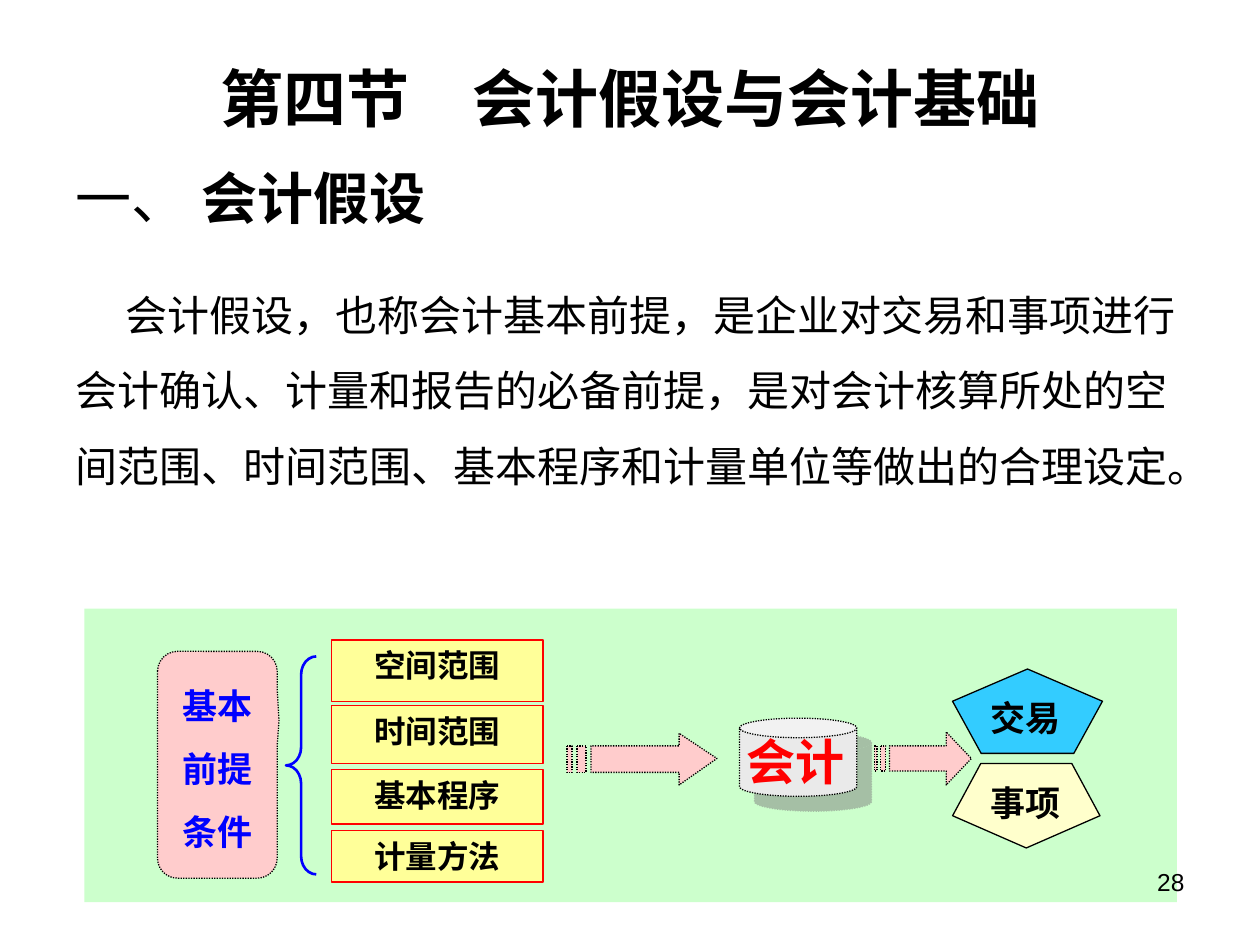
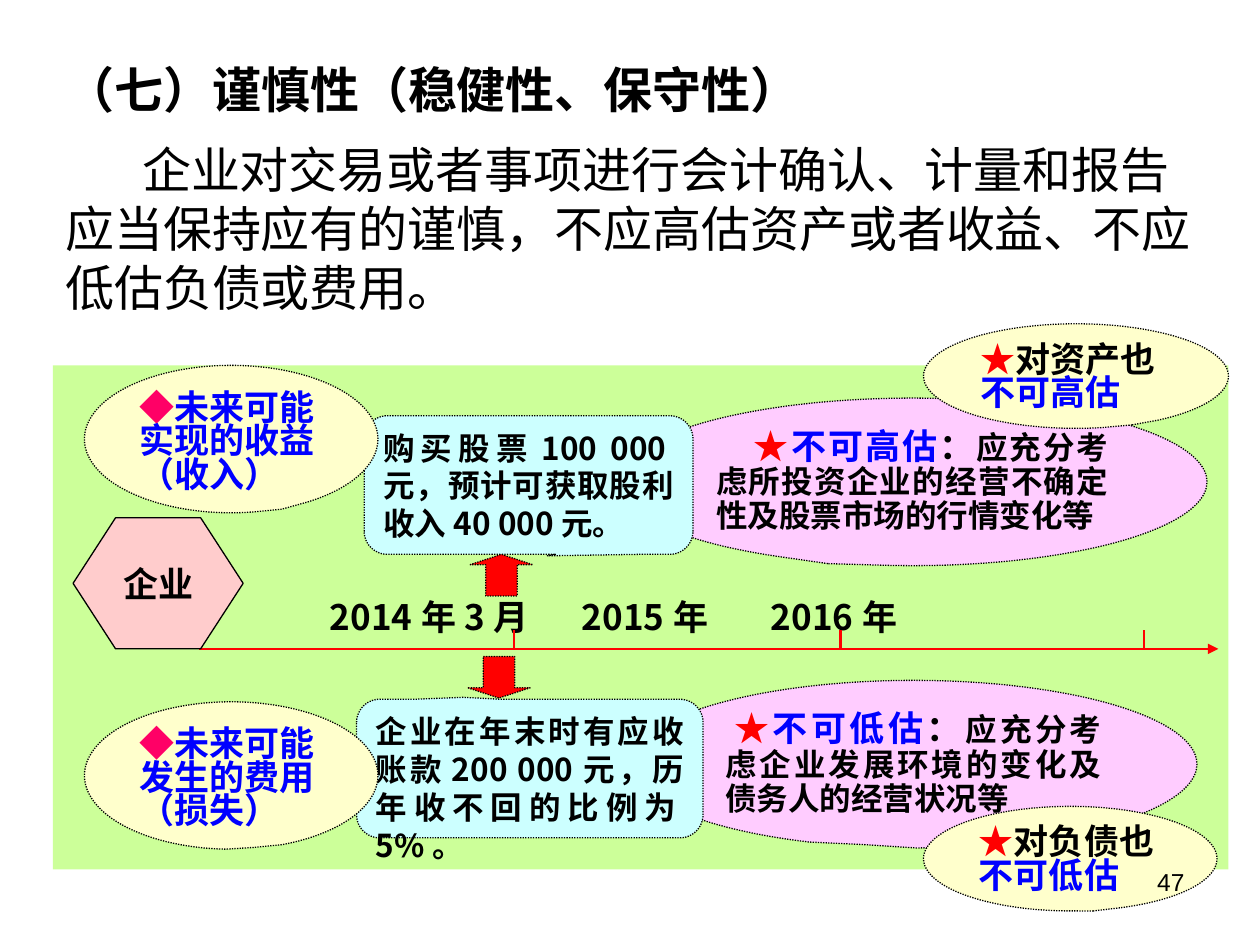
import dataclasses

import pptx
import pptx.dml.color
import pptx.enum.dml
import pptx.enum.shapes
import pptx.enum.text
import pptx.oxml
import pptx.oxml.ns
import pptx.util

SHAPE = pptx.enum.shapes.MSO_SHAPE
ALIGN = pptx.enum.text.PP_ALIGN
ANCHOR = pptx.enum.text.MSO_ANCHOR
PX = 9144


@dataclasses.dataclass(frozen=True)
class Theme:
    """Colours, fonts and type sizes of the deck."""
    black: str = "000000"
    red: str = "FF0000"
    blue: str = "0000FF"
    magenta: str = "FF0066"
    pink: str = "FFCCCC"
    lilac: str = "FFCCFF"
    cream: str = "FFFFCC"
    yellow: str = "FFFF99"
    aqua: str = "CCFFFF"
    sky: str = "33CCFF"
    grey: str = "EAEAEA"
    shadow: str = "808080"
    mint: str = "CCFFCC"
    lime: str = "CCFF99"
    sans: str = "Arial"
    serif: str = "Times New Roman"
    cjk: str = "Noto Sans CJK SC"
    title: int = 36
    section: int = 32
    heading: int = 28
    body: int = 24
    label: int = 20
    note: int = 18
    number: int = 14


THEME = Theme()


def px(*lengths):
    """Turn px lengths into EMU."""
    return [pptx.util.Emu(length * PX) for length in lengths]


def rgb(colour):
    """Return a colour object for a hex value."""
    return pptx.dml.color.RGBColor.from_string(colour)


def add_xml(parent, markup):
    """Append an element in the drawing namespace."""
    tag, _, rest = markup.partition(" ")
    namespace = pptx.oxml.ns.nsdecls("a")
    parent.append(pptx.oxml.parse_xml(f"<a:{tag} {namespace} {rest}"))


def assign(target, values):
    """Set attributes from a dict of format values."""
    for name, value in values.items():
        setattr(target, name, value)


def write_span(para, text, size, font=THEME.sans, colour=THEME.black, bold=True):
    """Add one formatted span to a paragraph."""
    span = para.add_run()
    span.text = text
    assign(span.font, {"size": pptx.util.Pt(size), "bold": bold, "name": font})
    span.font.color.rgb = rgb(colour)


def write_para(para, spans, indent=0, tabs=(), **form):
    """Format a paragraph and fill it with spans."""
    properties = para._p.get_or_add_pPr()
    properties.set("marL", "0")
    properties.set("indent", str(indent * PX))
    if tabs:
        stops = "".join(f'<a:tab pos="{stop * PX}" algn="l"/>' for stop in tabs)
        add_xml(properties, f"tabLst >{stops}</a:tabLst>")
    assign(para, {"alignment": ALIGN.LEFT, "space_before": pptx.util.Pt(0), **form})
    for text, values in spans:
        write_span(para, text, **values)


def set_frame(shape, anchor=ANCHOR.TOP):
    """Give a shape a wrapped text frame with even insets."""
    left, top = px(10, 5)
    frame = shape.text_frame
    assign(frame, {
        "word_wrap": True, "auto_size": pptx.enum.text.MSO_AUTO_SIZE.NONE,
        "vertical_anchor": anchor, "margin_left": left, "margin_right": left,
        "margin_top": top, "margin_bottom": top})
    return frame.paragraphs[0]


def add_text(page, place, spans, **form):
    """Add a text box and return it."""
    box = page.shapes.add_textbox(*px(*place))
    write_para(set_frame(box), spans, **form)
    return box


def set_title(page, place, text, anchor, size, font, align):
    """Place and format the title placeholder."""
    title = page.shapes.title
    assign(title, dict(zip(("left", "top", "width", "height"), px(*place))))
    para = set_frame(title, anchor)
    write_para(para, [(text, {"size": size, "font": font})], alignment=align)


def paint(shape, fill=None, line=None, dotted=False, width=0.75):
    """Set the fill and outline of a shape and drop its shadow."""
    shape.shadow.inherit = False
    if fill:
        shape.fill.solid()
        shape.fill.fore_color.rgb = rgb(fill)
    else:
        shape.fill.background()
    if line:
        shape.line.color.rgb = rgb(line)
        shape.line.width = pptx.util.Pt(width)
        if dotted:
            shape.line.dash_style = pptx.enum.dml.MSO_LINE.ROUND_DOT
    else:
        shape.line.fill.background()


def add_figure(page, kind, place, fill=None, line=THEME.black, dotted=False,
               width=0.75, adjust=(), turn=0):
    """Add a preset shape."""
    shape = page.shapes.add_shape(kind, *px(*place))
    for index, value in enumerate(adjust):
        shape.adjustments[index] = value
    shape.rotation = turn
    paint(shape, fill, line, dotted, width)
    return shape


def add_label(page, kind, place, spans, fill, anchor=ANCHOR.TOP, look=None, **form):
    """Add a preset shape that carries text."""
    shape = add_figure(page, kind, place, fill, **(look or {}))
    write_para(set_frame(shape, anchor), spans, **form)


def add_striped_arrow(page, tip, head, shaft, stripes, top, height, inner):
    """Draw an arrow with stripes trailing its shaft."""
    bottom, upper, lower = top + height, top + inner, top + height - inner
    outlines = [[(head, top), (head, upper), (shaft, upper), (shaft, lower),
                 (head, lower), (head, bottom), (tip, top + height // 2)]]
    outlines += [[(left, upper), (left, lower), (right, lower), (right, upper)]
                 for left, right in stripes]
    builder = page.shapes.build_freeform(*outlines[0][0], scale=PX)
    for index, points in enumerate(outlines):
        if index:
            builder.move_to(*points[0])
        builder.add_line_segments(points[1:], close=True)
    paint(builder.convert_to_shape(), THEME.pink, THEME.black, dotted=True)


def add_line(page, start, end, arrow=False):
    """Draw a red straight line, with an arrowhead if asked."""
    straight = pptx.enum.shapes.MSO_CONNECTOR.STRAIGHT
    line = page.shapes.add_connector(straight, *px(*start, *end))
    line.line.color.rgb = rgb(THEME.red)
    line.line.width = pptx.util.Pt(1.5)
    if arrow:
        add_xml(line.line._get_or_add_ln(), 'tailEnd type="triangle"/>')
    add_xml(line._element.spPr, "effectLst />")


def add_number(page, number):
    """Add the page number at the lower right."""
    add_text(page, (717, 683, 233, 52),
             [(number, {"size": THEME.number, "bold": False})], alignment=ALIGN.RIGHT)


def build_assumptions(page):
    """Build the slide on accounting assumptions."""
    set_title(page, (50, 30, 900, 95), "第四节　会计假设与会计基础", ANCHOR.MIDDLE,
              THEME.title, THEME.sans, ALIGN.CENTER)
    box = add_text(page, (50, 125, 900, 358), [
        ("一、\t", {"size": THEME.section, "bold": False}),
        ("会计假设", {"size": THEME.section})], tabs=[109])
    definition = ("会计假设，也称会计基本前提，是企业对交易和事项进行会计确认、计量和报告的必备前提，"
                  "是对会计核算所处的空间范围、时间范围、基本程序和计量单位等做出的合理设定。")
    write_para(box.text_frame.add_paragraph(),
               [(definition, {"size": THEME.body, "bold": False})],
               indent=40, line_spacing=1.5, space_before=pptx.util.Pt(19))

    add_figure(page, SHAPE.RECTANGLE, (67, 483, 867, 233), THEME.mint, line=None)
    add_label(page, SHAPE.ROUNDED_RECTANGULAR_CALLOUT, (125, 517, 95, 180),
              [("基本前提条件", {"size": THEME.label, "font": THEME.serif,
                           "colour": THEME.blue})],
              THEME.pink, look={"dotted": True, "adjust": (0.515, -0.195, 0.167)},
              alignment=ALIGN.CENTER, line_spacing=1.5)
    add_striped_arrow(page, 569, 539, 469, [(458, 465), (450, 454)], 582, 41, 10)
    conditions = [("空间范围", 508, 49), ("时间范围", 560, 46),
                  ("基本程序", 611, 43), ("计量方法", 659, 41)]
    for text, top, height in conditions:
        add_label(page, SHAPE.RECTANGLE, (263, top, 168, height),
                  [(text, {"size": THEME.note, "font": THEME.serif})],
                  THEME.yellow, look={"line": THEME.red}, alignment=ALIGN.CENTER)
    add_figure(page, SHAPE.LEFT_BRACE, (227, 521, 24, 173), line=THEME.blue,
               width=1.5, adjust=(0.6, 0.5))

    drum = add_figure(page, SHAPE.CAN, (587, 570, 93, 62), THEME.grey, dotted=True)
    effects = drum._element.spPr.find(pptx.oxml.ns.qn("a:effectLst"))
    add_xml(effects, f'outerShdw dist="{pptx.util.Pt(12)}" dir="2700000">'
            f'<a:srgbClr val="{THEME.shadow}"><a:alpha val="50000"/></a:srgbClr>'
            '</a:outerShdw>')
    add_text(page, (583, 576, 117, 69),
             [("会计", {"size": THEME.heading, "font": THEME.cjk, "colour": THEME.red})])
    subjects = [("事项", (756, 606, 117, 67), THEME.cream, 180, 615),
                ("交易", (756, 531, 119, 67), THEME.sky, 0, 548)]
    for text, place, fill, turn, top in subjects:
        add_figure(page, SHAPE.REGULAR_PENTAGON, place, fill, turn=turn)
        add_text(page, (764, top, 100, 50), [(text, {"size": THEME.label})],
                 alignment=ALIGN.CENTER)
    add_striped_arrow(page, 771, 751, 706, [(699, 703), (694, 696)], 581, 42, 11)
    add_number(page, "28")


def add_advice(page, place, adjust, indent, rule, reason):
    """Add a lilac ellipse with a starred rule and its reason."""
    mark = {"size": THEME.label, "font": THEME.serif}
    add_label(page, SHAPE.OVAL_CALLOUT, place, [
        ("★", {**mark, "colour": THEME.red}), (rule, {**mark, "colour": THEME.blue}),
        ("：", mark), (reason, {"size": THEME.note})],
        THEME.lilac, look={"dotted": True, "adjust": adjust},
        indent=indent, alignment=ALIGN.JUSTIFY, line_spacing=0.9)


def add_example(page, place, adjust, text):
    """Add an aqua callout with a worked example."""
    add_label(page, SHAPE.ROUNDED_RECTANGULAR_CALLOUT, place,
              [(text, {"size": THEME.note, "font": THEME.cjk})], THEME.aqua,
              look={"dotted": True, "adjust": adjust}, alignment=ALIGN.JUSTIFY)


def add_bubble(page, place, adjust, font, *parts):
    """Add a cream ellipse with coloured text parts."""
    spans = [(text, {"size": THEME.label, "font": font, "colour": colour})
             for text, colour in parts]
    add_label(page, SHAPE.OVAL_CALLOUT, place, spans, THEME.cream,
              look={"dotted": True, "adjust": adjust}, line_spacing=0.8)


def build_prudence(page):
    """Build the slide on prudence."""
    set_title(page, (42, 42, 915, 62), "（七）谨慎性（稳健性、保守性）", ANCHOR.TOP,
              THEME.heading, THEME.cjk, ALIGN.LEFT)
    principle = ("企业对交易或者事项进行会计确认、计量和报告应当保持应有的谨慎，"
                 "不应高估资产或者收益、不应低估负债或费用。")
    add_text(page, (42, 106, 917, 180),
             [(principle, {"size": THEME.heading, "font": THEME.cjk, "bold": False})],
             indent=61)

    add_figure(page, SHAPE.RECTANGLE, (42, 290, 933, 400), THEME.lime, line=None)
    add_text(page, (252, 468, 690, 47),
             [("2014年3月\t2015年\t2016年", {"size": THEME.label, "font": THEME.cjk})],
             tabs=[250, 432])
    for tick in (408, 667, 908):
        add_line(page, (tick, 500), (tick, 515))
    add_line(page, (158, 515), (967, 515), arrow=True)

    add_advice(page, (490, 316, 468, 133), (-0.143, 0.488), 30, "不可高估",
               "应充分考虑所投资企业的经营不确定性及股票市场的行情变化等")
    add_example(page, (289, 330, 261, 110), (0.057, 0.511, 0.167),
                "购买股票100 000元，预计可获取股利收入40 000元。")
    add_advice(page, (500, 540, 450, 133), (-0.089, 0.48), 7, "不可低估",
               "应充分考虑企业发展环境的变化及债务人的经营状况等")
    add_example(page, (283, 555, 275, 110), (-0.192, -0.514, 0.167),
                "企业在年末时有应收账款200 000元，历年收不回的比例为5%。")
    add_label(page, SHAPE.HEXAGON, (58, 411, 135, 104),
              [("企业", {"size": THEME.label, "font": THEME.serif})], THEME.pink,
              ANCHOR.MIDDLE, look={"adjust": (0.324,)}, alignment=ALIGN.CENTER)
    for top, adjust, text in [(290, (0.172, 0.476), "未来可能实现的收益（收入）"),
                              (557, (0.077, 0.488), "未来可能发生的费用（损失）")]:
        add_bubble(page, (67, top, 233, 117), adjust, THEME.sans,
                   ("◆", THEME.magenta), (text, THEME.blue))
    for left, top, turn in [(373, 440, 0), (371, 521, 180)]:
        add_figure(page, SHAPE.UP_ARROW, (left, top, 50, 33), THEME.red,
                   dotted=True, adjust=(0.5, 0.25), turn=turn)
    for place, adjust, subject, rule in [
            ((733, 257, 242, 83), (0.184, 0.467), "对资产也", "不可高估"),
            ((733, 640, 233, 83), (0.079, 0.5), "对负债也", "不可低估")]:
        add_bubble(page, place, adjust, THEME.serif, ("★", THEME.red),
                   (subject, THEME.black), (rule, THEME.blue))
    add_number(page, "47")


def main():
    """Build and save the deck."""
    deck = pptx.Presentation()
    deck.slide_width, deck.slide_height = px(1000, 750)
    for build in (build_assumptions, build_prudence):
        build(deck.slides.add_slide(deck.slide_layouts[5]))
    deck.save("out.pptx")


if __name__ == "__main__":
    main()
